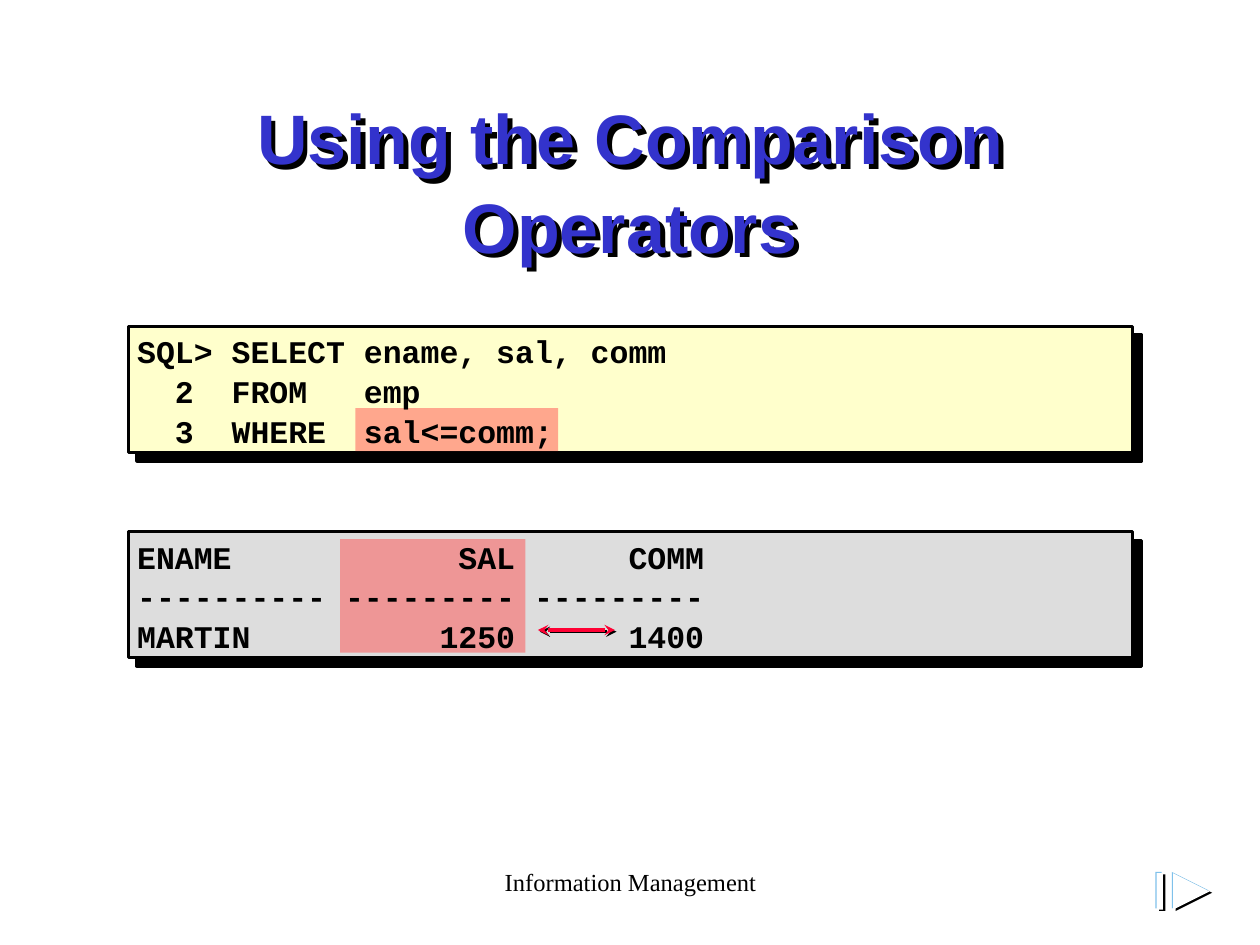
from lxml import etree
from pptx import Presentation
from pptx.dml.color import RGBColor
from pptx.enum import shapes, text
from pptx.oxml.ns import qn
from pptx.util import Inches, Pt

BLACK = RGBColor(0, 0, 0)
WHITE = RGBColor(255, 255, 255)
BLUE = RGBColor(0x33, 0x33, 0xCC)
CREAM = RGBColor(0xFF, 0xFF, 0xCC)
GREY = RGBColor(0xDD, 0xDD, 0xDD)
CORAL = RGBColor(0xFF, 0x50, 0x50)
RED = RGBColor(0xFF, 0, 0x33)
SKY = RGBColor(0x7F, 0xC1, 0xEB)

TITLE = "Using the Comparison Operators"
FOOTER = "Information Management"
PANELS = [
    (2.59, CREAM, (2.82, 3.24, 1.61, 0.34), [
        "SQL> SELECT ename, sal, comm",
        "  2  FROM   emp",
        "  3  WHERE  sal<=comm;",
    ]),
    (4.22, GREY, (2.7, 4.28, 1.47, 0.9), [
        "ENAME            SAL      COMM",
        "---------- --------- ---------",
        "MARTIN          1250      1400",
    ]),
]
ICON_LAYERS = [(0.03, 0.02, BLACK), (0, 0, SKY), (0.01, 0.01, WHITE)]
ICON_LEFT, ICON_TOP, ICON_H = 9.17, 6.92, 0.29

TITLE_FONT = {"name": "Arial", "size": Pt(40), "bold": True}
CODE_FONT = {"name": "Courier New", "size": Pt(18), "bold": True}
FOOTER_FONT = {"name": "Times New Roman", "size": Pt(14)}


def box(at):
    return [Inches(v) for v in at]


def paint(sp, color, alpha=None):
    sp.fill.solid()
    sp.fill.fore_color.rgb = color
    sp.line.fill.background()
    sp.shadow.inherit = False
    if alpha:
        clr = sp.fill._xPr.find(qn("a:solidFill"))[0]
        etree.SubElement(clr, qn("a:alpha"), val=str(alpha * 1000))


def add_rect(parent, at, color, alpha=None):
    sp = parent.add_shape(shapes.MSO_SHAPE.RECTANGLE, *box(at))
    paint(sp, color, alpha)
    return sp


def add_shadow(sp, dist):
    pr = sp._element.spPr
    effects = pr.find(qn("a:effectLst"))
    if effects is None:
        effects = etree.SubElement(pr, qn("a:effectLst"))
    shadow = etree.SubElement(effects, qn("a:outerShdw"), dist=str(Pt(dist)),
                              dir="2700000", algn="ctr", rotWithShape="0")
    etree.SubElement(shadow, qn("a:srgbClr"), val=str(BLACK))


def write(sp, lines, font, color, align, anchor, spacing=1.0):
    tf = sp.text_frame
    tf.word_wrap = True
    tf.auto_size = text.MSO_AUTO_SIZE.NONE
    tf.vertical_anchor = anchor
    for i, line in enumerate(lines):
        p = tf.paragraphs[0] if i == 0 else tf.add_paragraph()
        p.alignment = align
        p.line_spacing = spacing
        r = p.add_run()
        r.text = line
        for key, value in font.items():
            setattr(r.font, key, value)
        r.font.color.rgb = color


def add_icon(s):
    icon = s.shapes.add_group_shape().shapes
    for dx, dy, color in ICON_LAYERS:
        x, y = ICON_LEFT + dx, ICON_TOP + dy
        add_rect(icon, (x, y, 0.05, ICON_H), color)
    for dx, dy, color in ICON_LAYERS:
        x, y = ICON_LEFT + 0.13 + dx, ICON_TOP + dy
        fb = icon.build_freeform(Inches(x + 0.29), Inches(y + ICON_H / 2))
        fb.add_line_segments([box((x, y)), box((x, y + ICON_H))], close=True)
        paint(fb.convert_to_shape(), color)


def main():
    prs = Presentation()
    prs.slide_width, prs.slide_height = Inches(10), Inches(7.5)
    s = prs.slides.add_slide(prs.slide_layouts[5])
    left, center = text.PP_ALIGN.LEFT, text.PP_ALIGN.CENTER
    top, middle = text.MSO_ANCHOR.TOP, text.MSO_ANCHOR.MIDDLE

    title = s.shapes.title
    title.left, title.top, title.width, title.height = box((0.75, 0.67, 8.5, 1.25))
    title.fill.background()
    write(title, [TITLE], TITLE_FONT, BLUE, center, top, 1.05)
    add_shadow(title, 4)

    footer = s.shapes.add_textbox(*box((3.42, 6.83, 3.17, 0.5)))
    write(footer, [FOOTER], FOOTER_FONT, BLACK, center, top)

    for y, color, highlight, lines in PANELS:
        panel = add_rect(s.shapes, (1.02, y, 7.97, 1), color)
        panel.line.color.rgb = BLACK
        panel.line.width = Pt(2)
        add_shadow(panel, 7.1)
        add_rect(s.shapes, highlight, CORAL, 50)
        code = s.shapes.add_textbox(*box((0.99, y - 0.01, 8, 1.03)))
        write(code, lines, CODE_FONT, BLACK, left, middle, 1.05)

    arrow = s.shapes.add_connector(shapes.MSO_CONNECTOR.STRAIGHT, *box((4.27, 5, 4.88, 5)))
    arrow.line.color.rgb = RED
    arrow.line.width = Pt(2)
    ln = arrow.line._get_or_add_ln()
    for end in ("a:headEnd", "a:tailEnd"):
        etree.SubElement(ln, qn(end), type="stealth")
    add_shadow(arrow, 1.4)

    add_icon(s)
    prs.save("out.pptx")


if __name__ == "__main__":
    main()
